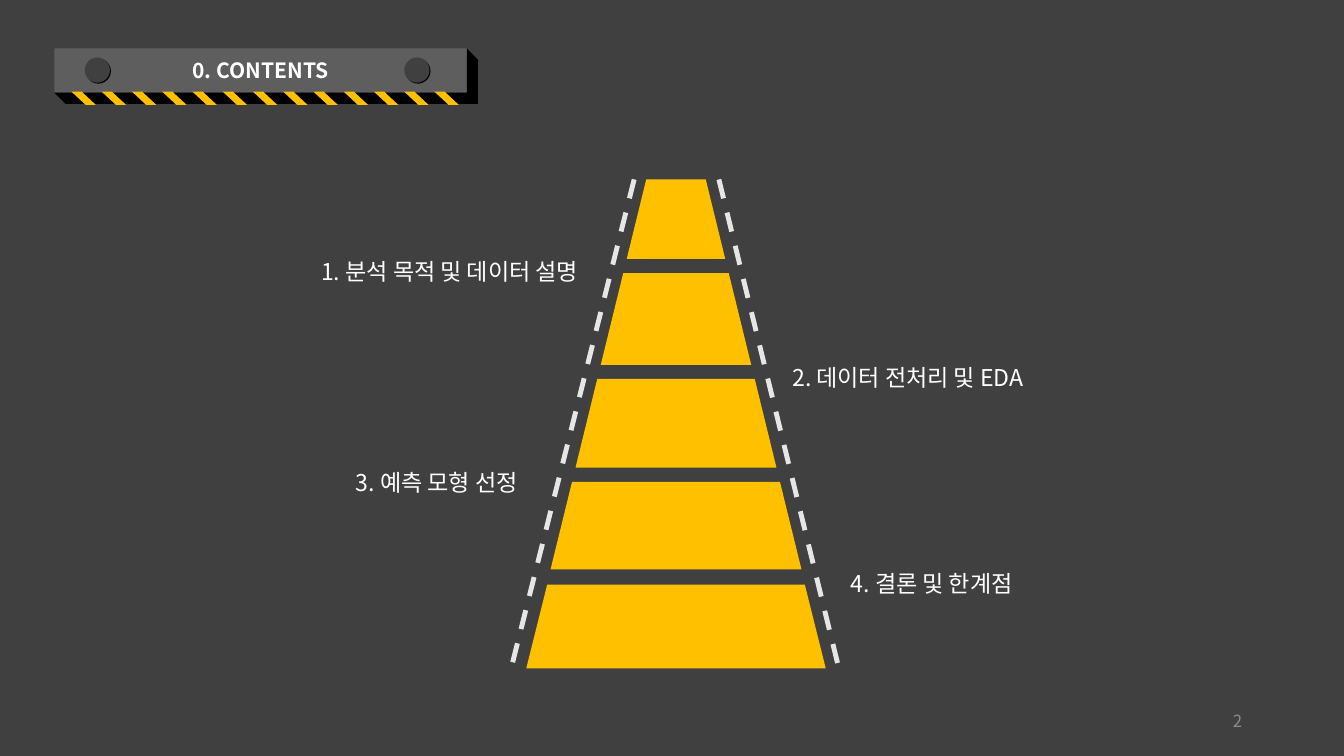
from dataclasses import dataclass
from lxml import etree
from pptx import Presentation
from pptx.dml.color import RGBColor
from pptx.enum.dml import MSO_LINE
from pptx.enum.shapes import MSO_CONNECTOR, MSO_SHAPE
from pptx.enum.text import MSO_ANCHOR, MSO_AUTO_SIZE, PP_ALIGN
from pptx.oxml.ns import qn
from pptx.util import Inches, Pt

OVAL = MSO_SHAPE.OVAL
SLANT = MSO_SHAPE.PARALLELOGRAM
TRAP = MSO_SHAPE.TRAPEZOID
LINE = MSO_CONNECTOR.STRAIGHT
DASH = MSO_LINE.DASH
LEFT, RIGHT, MID = PP_ALIGN.LEFT, PP_ALIGN.RIGHT, PP_ALIGN.CENTER
TOP, CENTRE = MSO_ANCHOR.TOP, MSO_ANCHOR.MIDDLE
GROW, FIXED = MSO_AUTO_SIZE.SHAPE_TO_FIT_TEXT, MSO_AUTO_SIZE.NONE


@dataclass(frozen=True)
class Theme:
    font: str = "Noto Sans CJK KR"
    back: str = "404040"
    panel: str = "5E5E5E"
    dark: str = "000000"
    road: str = "FFC000"
    edge: str = "E7E6E6"
    text: str = "FFFFFF"
    faint: str = "8C8C8C"
    head: float = 15
    body: float = 16.5
    small: float = 12


def rgb(code):
    return RGBColor.from_string(code)


def apply(item, values):
    for name, value in values.items():
        setattr(item, name, value)


class Deck:
    def __init__(self, theme):
        self.theme = theme
        self.file = Presentation()
        apply(self.file, {"slide_width": Inches(13.33), "slide_height": Inches(7.5)})
        self.slide = self.file.slides.add_slide(self.file.slide_layouts[5])
        self.shapes = self.slide.shapes
        self.paint(self.slide.background, theme.back)

    def paint(self, item, color):
        item.fill.solid()
        item.fill.fore_color.rgb = rgb(color)

    def finish(self, shape, color):
        self.paint(shape, color)
        shape.line.fill.background()
        shape.shadow.inherit = False
        return shape

    def letter(self, shape, words, size, color, align, anchor=TOP, fit=FIXED,
               bold=False, gap=1.0):
        frame = shape.text_frame
        apply(frame, {"word_wrap": True, "auto_size": fit, "vertical_anchor": anchor})
        para = frame.paragraphs[0]
        apply(para, {"alignment": align, "line_spacing": gap})
        run = para.add_run()
        run.text = words
        apply(run.font, {"name": self.theme.font, "size": Pt(size), "bold": bold})
        run.font.color.rgb = rgb(color)
        east = etree.SubElement(run.font._element, qn("a:ea"))
        east.set("typeface", self.theme.font)

    def title(self, words, *box):
        shape = self.shapes.title
        names = ("left", "top", "width", "height")
        apply(shape, dict(zip(names, map(Inches, box))))
        self.finish(shape, self.theme.panel)
        self.letter(shape, words, self.theme.head, self.theme.text, MID, CENTRE, bold=True)

    def label(self, words, box, align, size, color, **look):
        shape = self.shapes.add_textbox(*map(Inches, box))
        self.letter(shape, words, size, color, align, **look)

    def shape(self, kind, color, *box):
        return self.finish(self.shapes.add_shape(kind, *map(Inches, box)), color)

    def outline(self, color, *loops):
        loops = [[(Inches(x), Inches(y)) for x, y in loop] for loop in loops]
        build = self.shapes.build_freeform(*loops[0][0])
        for index, loop in enumerate(loops):
            if index:
                build.move_to(*loop[0])
            build.add_line_segments(loop[1:], close=True)
        return self.finish(build.convert_to_shape(), color)

    def dash(self, *ends):
        line = self.shapes.add_connector(LINE, *map(Inches, ends))
        apply(line.line, {"width": Pt(3.5), "dash_style": DASH})
        line.line.color.rgb = rgb(self.theme.edge)
        etree.SubElement(line._element.spPr, qn("a:effectLst"))


def banner(deck):
    theme = deck.theme
    left, top, right, base, depth = 0.54, 0.48, 4.63, 0.92, 0.11
    deck.title("0. CONTENTS", left, top, right - left, base - top)
    deck.outline(theme.dark, [
        (right, top), (right + depth, top + depth), (right + depth, base + depth),
        (left + depth, base + depth), (left, base), (right, base)])
    for x in (0.84, 4.01):
        deck.shape(OVAL, theme.dark, x + 0.01, 0.58, 0.25, 0.25)
        deck.shape(OVAL, theme.back, x, 0.57, 0.25, 0.25)
    for index in range(13):
        stripe = deck.shape(SLANT, theme.road, 0.71 + index * 0.3, 0.91, 0.24, 0.13)
        stripe.adjustments[0] = 1.07
        stripe._element.spPr.xfrm.set("flipH", "1")


def road(deck):
    theme = deck.theme
    top, foot, left, right = 1.78, 6.63, 6.41, 7.0
    slope = (left - 5.22) / (foot - top)
    bands = [(top, 2.57), (2.71, 3.62), (3.76, 4.64), (4.78, 5.65)]

    def sides(y):
        spread = (y - top) * slope
        return (left - spread, y), (right + spread, y)

    deck.outline(theme.road, *[[*sides(high), *reversed(sides(low))] for high, low in bands])
    deck.shape(TRAP, theme.road, 5.22, 5.8, 2.97, 0.83)
    for start, end in ((6.29, 5.07), (7.13, 8.32)):
        deck.dash(start, top, end, foot)


def main():
    theme = Theme()
    deck = Deck(theme)
    banner(deck)
    items = [
        ("1. 분석 목적 및 데이터 설명", 2.99, 2.37, 2.84, RIGHT),
        ("2. 데이터 전처리 및 EDA", 7.76, 3.42, 2.68, LEFT),
        ("3. 예측 모형 선정", 1.12, 4.46, 4.11, RIGHT),
        ("4. 결론 및 한계점", 8.34, 5.46, 4.11, LEFT),
    ]
    for words, x, y, width, align in items:
        deck.label(words, (x, y, width, 0.48), align, theme.body, theme.text,
                   fit=GROW, gap=1.5)
    road(deck)
    deck.label("2", (9.42, 6.95, 3, 0.4), RIGHT, theme.small, theme.faint, anchor=CENTRE)
    deck.file.save("out.pptx")


if __name__ == "__main__":
    main()
